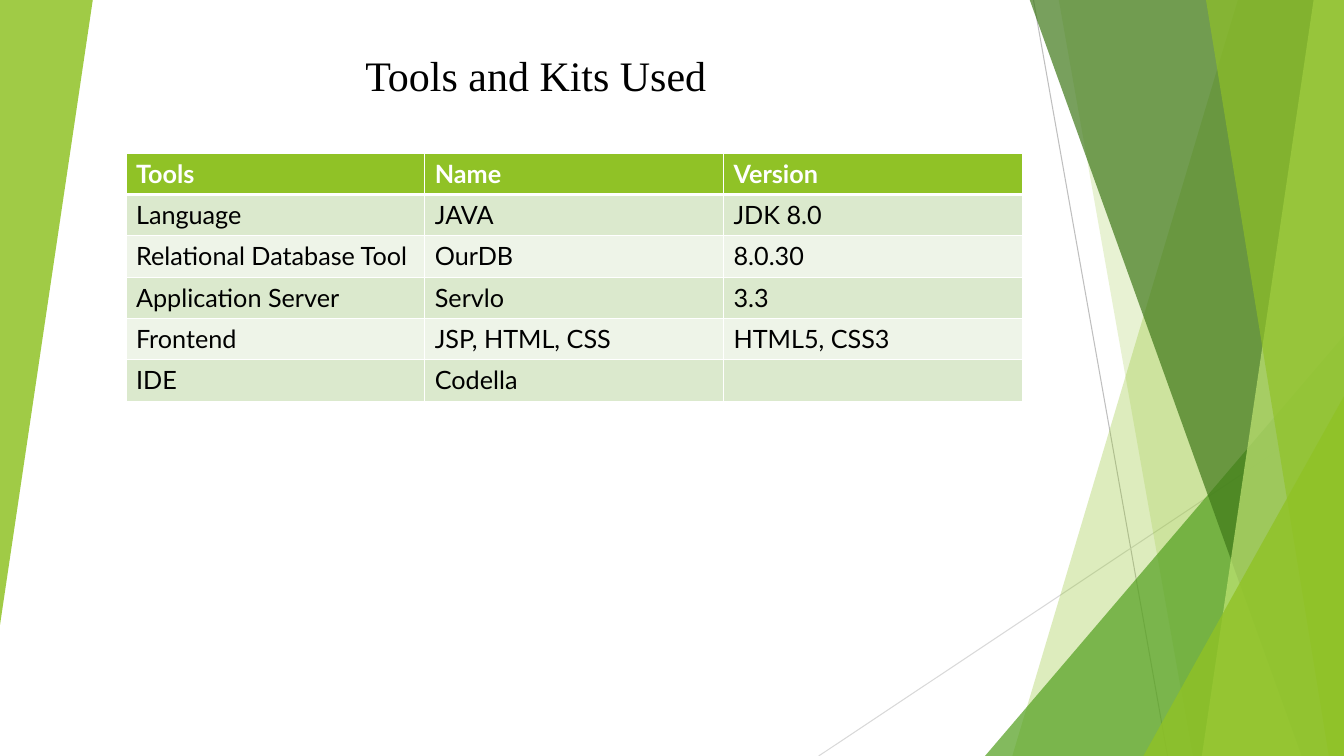
from lxml import etree
from pptx import Presentation
from pptx.dml.color import RGBColor
from pptx.enum import shapes, text
from pptx.oxml import ns
from pptx.util import Inches, Pt

WHITE = RGBColor(0xFF, 0xFF, 0xFF)
BLACK = RGBColor(0, 0, 0)
LIME = RGBColor(0x90, 0xC2, 0x26)
PALE_LIME = RGBColor(0xC0, 0xE4, 0x74)
GREEN = RGBColor(0x54, 0xA0, 0x21)
DARK_GREEN = RGBColor(0x3F, 0x78, 0x19)
SAGE = RGBColor(0xDB, 0xE9, 0xCD)
MIST = RGBColor(0xEE, 0xF4, 0xE8)
GREY = RGBColor(0xBF, 0xBF, 0xBF)
LIGHT_GREY = RGBColor(0xD9, 0xD9, 0xD9)

WIDTH, HEIGHT = 13.33, 7.5
BAND_TOP = -0.01


class Painter:
    title_font = "Times New Roman"
    table_font = "Lato"

    def __init__(self, page):
        self.page = page

    def line(self, start, end, color):
        points = [Inches(value) for value in (*start, *end)]
        line = self.page.shapes.add_connector(shapes.MSO_CONNECTOR.STRAIGHT, *points)
        line.line.color.rgb = color
        line.line.width = Pt(0.75)
        etree.SubElement(line._element.spPr, ns.qn("a:effectLst"))

    def tint(self, shape, color, opacity):
        shape.shadow.inherit = False
        shape.line.fill.background()
        shape.fill.solid()
        shape.fill.fore_color.rgb = color
        tone = shape._element.spPr.find(ns.qn("a:solidFill"))[0]
        etree.SubElement(tone, ns.qn("a:alpha"), val=str(opacity * 1000))

    def band(self, top_left, bottom_left, color, opacity):
        corners = [(top_left, BAND_TOP), (WIDTH, BAND_TOP),
                   (WIDTH, HEIGHT), (bottom_left, HEIGHT)]
        points = [(Inches(x), Inches(y)) for x, y in corners]
        builder = self.page.shapes.build_freeform(*points[0])
        builder.add_line_segments(points[1:], close=True)
        self.tint(builder.convert_to_shape(), color, opacity)

    def triangle(self, left, top, width, height, color, opacity, rotation=0):
        shape = self.page.shapes.add_shape(
            shapes.MSO_SHAPE.ISOSCELES_TRIANGLE,
            Inches(left), Inches(top), Inches(width), Inches(height))
        shape.adjustments[0] = 1
        shape.rotation = rotation
        self.tint(shape, color, opacity)

    def title(self, words, left, top, width, height):
        box = self.page.shapes.add_textbox(
            Inches(left), Inches(top), Inches(width), Inches(height))
        frame = box.text_frame
        frame.word_wrap = True
        frame.vertical_anchor = text.MSO_ANCHOR.BOTTOM
        para = frame.paragraphs[0]
        para.text = words
        para.alignment = text.PP_ALIGN.CENTER
        self.style(para, self.title_font, 30, BLACK)

    def style(self, para, name, size, color, bold=False):
        font = para.font
        font.name, font.size, font.bold = name, Pt(size), bold
        font.color.rgb = color

    def borders(self, cell, widths):
        properties = cell._tc.get_or_add_tcPr()
        for side, width in widths.items():
            edge = etree.SubElement(properties, ns.qn(f"a:ln{side}"), w=str(Pt(width)))
            fill = etree.SubElement(edge, ns.qn("a:solidFill"))
            etree.SubElement(fill, ns.qn("a:srgbClr"), val=str(WHITE))

    def table(self, rows, left, top, width, row_height):
        table = self.page.shapes.add_table(
            len(rows), len(rows[0]), Inches(left), Inches(top),
            Inches(width), Inches(row_height * len(rows))).table
        for row, values in enumerate(rows):
            table.rows[row].height = Inches(row_height)
            header = row == 0
            fill = LIME if header else (MIST, SAGE)[row % 2]
            edges = {"L": 1, "R": 1, "T": 3 if row == 1 else 1, "B": 3 if header else 1}
            for column, value in enumerate(values):
                cell = table.cell(row, column)
                self.borders(cell, edges)
                cell.fill.solid()
                cell.fill.fore_color.rgb = fill
                cell.text = value
                self.style(cell.text_frame.paragraphs[0], self.table_font, 18,
                           WHITE if header else BLACK, header)


TOOLS = [
    ("Tools", "Name", "Version"),
    ("Language", "JAVA", "JDK 8.0"),
    ("Relational Database Tool", "OurDB", "8.0.30"),
    ("Application Server", "Servlo", "3.3"),
    ("Frontend", "JSP, HTML, CSS", "HTML5, CSS3"),
    ("IDE", "Codella", ""),
]

deck = Presentation()
deck.slide_width, deck.slide_height = Inches(WIDTH), Inches(HEIGHT)
painter = Painter(deck.slides.add_slide(deck.slide_layouts[6]))

painter.line((10.25, 0), (11.58, HEIGHT), GREY)
painter.line((WIDTH, 4.03), (8.12, HEIGHT), LIGHT_GREY)
painter.band(12.28, 10.04, LIME, 30)
painter.band(10.5, 11.83, LIME, 20)
painter.triangle(9.77, 3.33, 3.56, 4.17, GREEN, 72)
painter.band(10.21, 12.91, DARK_GREEN, 70)
painter.band(13.03, 11.92, PALE_LIME, 70)
painter.band(11.96, 13.18, LIME, 65)
painter.triangle(11.34, 3.93, 1.99, 3.57, LIME, 80)
painter.triangle(0, 0, 0.92, 6.2, LIME, 85, rotation=180)
painter.title("Tools and Kits Used", 1.07, -0.76, 8.49, 1.8)
painter.table(TOOLS, 1.25, 1.52, 8.89, 0.41)

deck.save("out.pptx")
